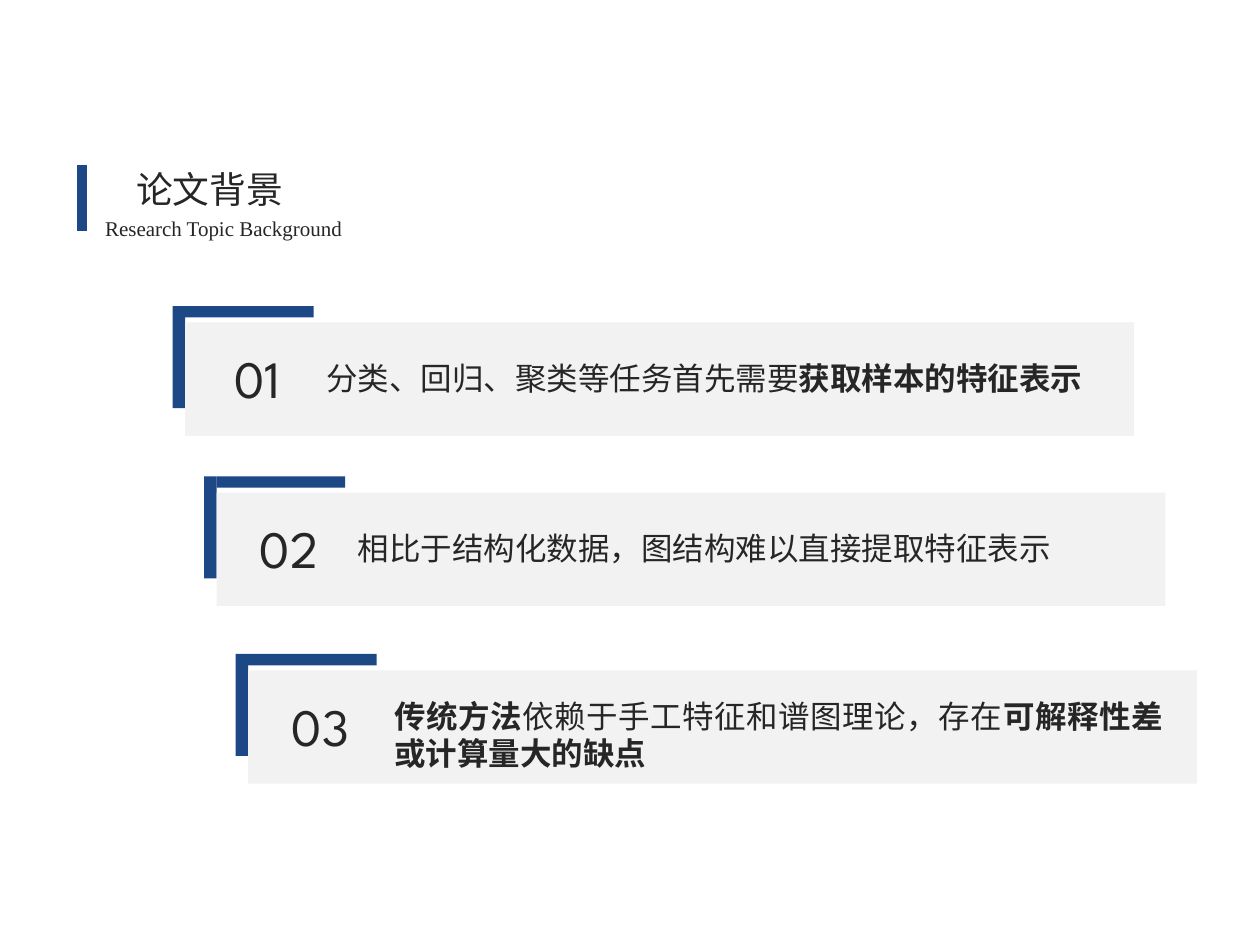
from lxml import etree
from pptx import Presentation
from pptx.dml.color import RGBColor
from pptx.enum.shapes import MSO_CONNECTOR, MSO_SHAPE
from pptx.enum.text import MSO_ANCHOR, PP_ALIGN
from pptx.oxml.ns import qn
from pptx.util import Inches, Pt

RECT = MSO_SHAPE.RECTANGLE
LINE = MSO_CONNECTOR.STRAIGHT
TOP = MSO_ANCHOR.TOP
MID, JUST = PP_ALIGN.CENTER, PP_ALIGN.JUSTIFY
BLUE, GRAY, INK = "1C4885", "F2F2F2", "262626"
HAN, LATIN, NUM = "Noto Sans CJK SC", "Times New Roman", "League Spartan"

TITLE = "论文背景"
SUB = "Research Topic Background"
CARDS = [
    {"top": 2.56, "text": (1.02, 0.24, 6.85, 0.4),
     "runs": [("分类、回归、聚类等任务首先需要", False), ("获取样本的特征表示", True)]},
    {"top": 3.91, "text": (1.02, 0.24, 6.21, 0.4),
     "runs": [("相比于结构化数据，图结构难以直接提取特征表示", False)]},
    {"top": 5.32, "text": (1.06, 0.16, 6.3, 0.71),
     "runs": [("传统方法", True), ("依赖于手工特征和谱图理论，存在", False),
              ("可解释性差或计算量大的缺点", True)]},
]
LEFT, STEP = 1.47, 0.25


def color(code):
    return RGBColor.from_string(code)


def write(shape, runs, size, font, align):
    frame = shape.text_frame
    frame.word_wrap = True
    frame.vertical_anchor = TOP
    para = frame.paragraphs[0]
    para.alignment = align
    for text, bold in runs:
        run = para.add_run()
        run.text = text
        run.font.size = Pt(size)
        run.font.bold = bold
        run.font.color.rgb = color(INK)
        run.font.name = font
        east = etree.SubElement(run.font._element, qn("a:ea"))
        east.set("typeface", font)


def label(slide, box, *style):
    write(slide.shapes.add_textbox(*map(Inches, box)), *style)


def block(slide, box, fill):
    shape = slide.shapes.add_shape(RECT, *map(Inches, box))
    shape.shadow.inherit = False
    shape.fill.solid()
    shape.fill.fore_color.rgb = color(fill)
    shape.line.fill.background()


def header(slide):
    title = slide.shapes.title
    title.left, title.top, title.width, title.height = map(Inches, (0.5, 1.27, 2.33, 0.45))
    write(title, [(TITLE, False)], 21, HAN, MID)
    label(slide, (0.65, 1.66, 2.25, 0.3), [(SUB, False)], 12, LATIN, MID)
    bar = slide.shapes.add_connector(LINE, *map(Inches, (0.65, 1.31, 0.65, 1.83)))
    bar.line.color.rgb = color(BLUE)
    bar.line.width = Pt(6)
    etree.SubElement(bar._element.spPr, qn("a:effectLst"))


def card(slide, num, item):
    x, y = LEFT + STEP * num, item["top"]
    block(slide, (x - 0.1, y - 0.13, 0.1, 0.81), BLUE)
    block(slide, (x, y - 0.13, 1.02, 0.09), BLUE)
    block(slide, (x, y, 7.53, 0.9), GRAY)
    label(slide, (x + 0.15, y + 0.14, 0.85, 0.61),
          [(f"{num + 1:02}", False)], 30, NUM, MID)
    dx, dy, wide, high = item["text"]
    label(slide, (x + dx, y + dy, wide, high), item["runs"], 18, HAN, JUST)


def main():
    deck = Presentation()
    deck.slide_width, deck.slide_height = Inches(10), Inches(7.5)
    slide = deck.slides.add_slide(deck.slide_layouts[5])
    header(slide)
    for num, item in enumerate(CARDS):
        card(slide, num, item)
    deck.save("out.pptx")


if __name__ == "__main__":
    main()
